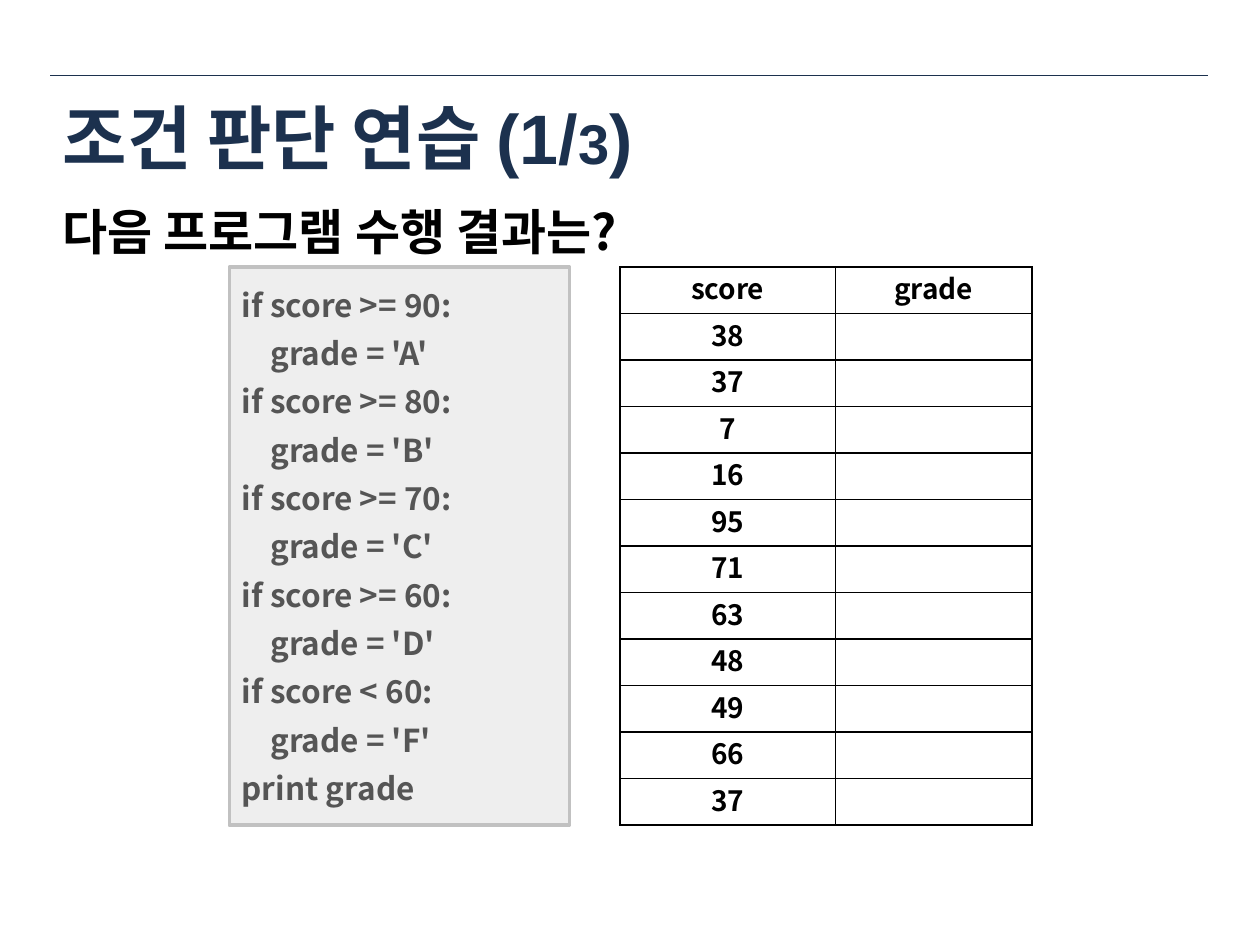
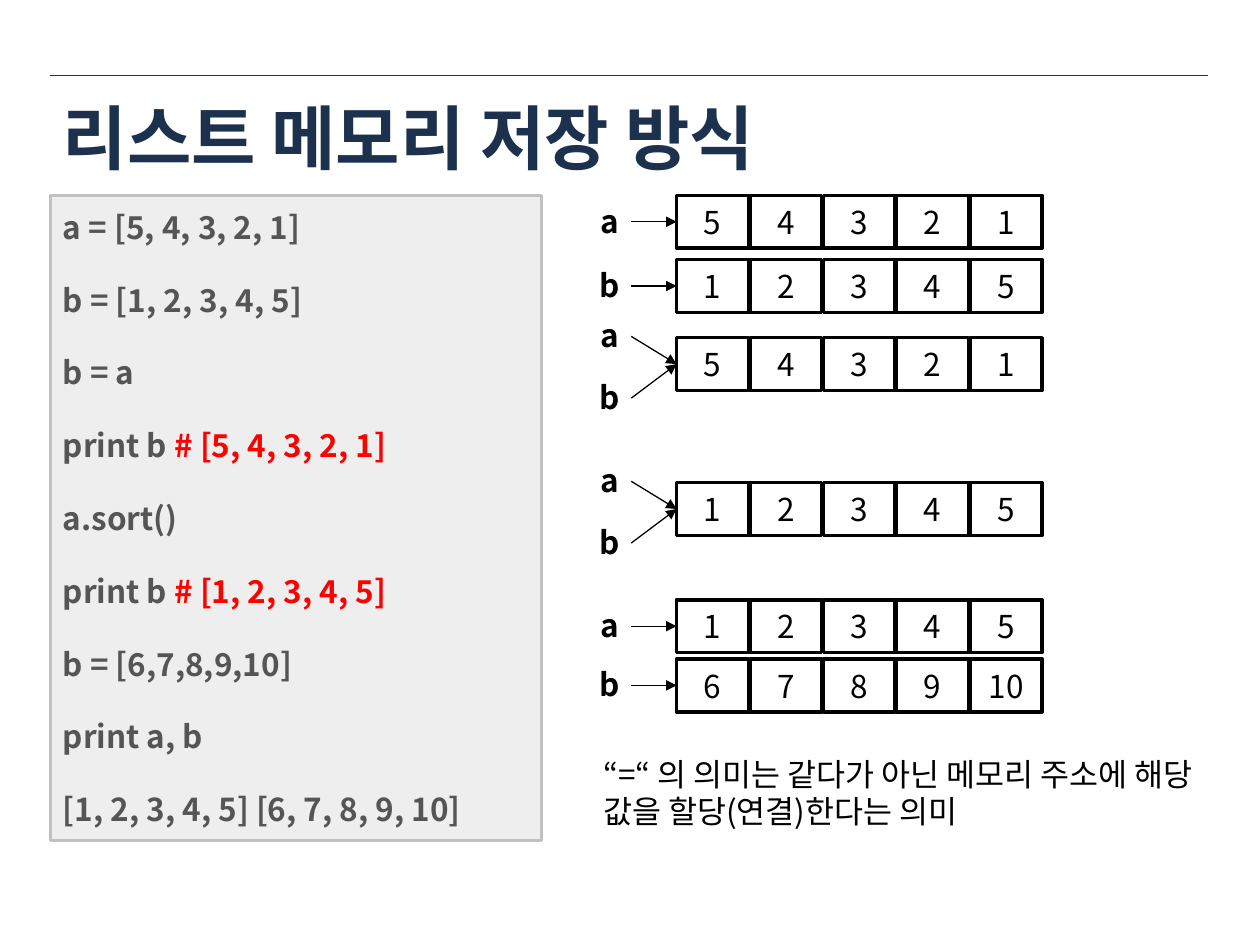
from dataclasses import dataclass
from typing import Any, NamedTuple

from lxml.etree import SubElement
from pptx import Presentation
from pptx.dml.color import RGBColor
from pptx.enum.shapes import MSO_CONNECTOR as Connector, MSO_SHAPE as Shape
from pptx.enum.text import MSO_ANCHOR as Anchor, PP_ALIGN as Align
from pptx.oxml.ns import qn
from pptx.util import Inches, Pt


@dataclass(frozen=True)
class Theme:
    navy: str = "1C314E"
    black: str = "000000"
    white: str = "FFFFFF"
    code_fill: str = "EEEEEE"
    code_line: str = "C1C1C1"
    code_text: str = "555555"
    comment: str = "FF0000"
    title_font: str = "Arial"
    body_font: str = "Noto Sans CJK KR"
    title_size: int = 40
    title_small: int = 32
    heading_size: int = 28
    body_size: int = 18
    table_size: int = 16
    line_ratio: float = 1.2


THEME = Theme()


class Box(NamedTuple):
    left: float
    top: float
    width: float
    height: float

    def lengths(self) -> list[int]:
        return [Inches(value) for value in self]


@dataclass(frozen=True)
class Style:
    size: int = THEME.body_size
    color: str = THEME.black
    bold: bool = False
    font: str = THEME.body_font


class Span(NamedTuple):
    text: str
    style: Style


Line = list[Span]


class Pointer(NamedTuple):
    name: str
    offset: float  # label top measured from the top of its list


class ListState(NamedTuple):
    top: float
    values: list[int]
    pointers: list[Pointer]


TITLE = Style(THEME.title_size, THEME.navy, True, THEME.title_font)
TITLE_SMALL = Style(THEME.title_small, THEME.navy, True, THEME.title_font)
HEADING = Style(THEME.heading_size, bold=True)
CODE = Style(color=THEME.code_text, bold=True)
COMMENT = Style(color=THEME.comment, bold=True)
LABEL = Style(bold=True)
PLAIN = Style()
TABLE = Style(THEME.table_size, bold=True)

LEFT, TOP = 0.4, 1.55  # corner of the area below the title


# Text and line helpers
def set_all(target: Any, formats: dict[str, Any]) -> None:
    for name, value in formats.items():
        setattr(target, name, value)


def rgb(color: str) -> RGBColor:
    return RGBColor.from_string(color)


def write(frame: Any, lines: list[Line], align: Any = Align.LEFT,
          anchor: Any = Anchor.MIDDLE, after: int = 0) -> None:
    set_all(frame, {"word_wrap": True, "vertical_anchor": anchor})
    for index, line in enumerate(lines):
        paragraph = frame.add_paragraph() if index else frame.paragraphs[0]
        set_all(paragraph, {"alignment": align, "space_after": Pt(after)})
        style = line[0].style
        if style.font == THEME.body_font:
            paragraph.line_spacing = Pt(style.size * THEME.line_ratio)
        for text, style in line:
            run = paragraph.add_run()
            run.text = text
            set_all(run.font, {"size": Pt(style.size), "bold": style.bold,
                               "name": style.font})
            run.font.color.rgb = rgb(style.color)
            properties = run._r.get_or_add_rPr()
            SubElement(properties, qn("a:ea"), typeface=THEME.body_font)


def add_text(slide: Any, box: Box, lines: list[Line], **layout: Any) -> None:
    write(slide.shapes.add_textbox(*box.lengths()).text_frame, lines, **layout)


def add_rectangle(slide: Any, box: Box, fill: str, line: str) -> Any:
    shape = slide.shapes.add_shape(Shape.RECTANGLE, *box.lengths())
    shape.shadow.inherit = False
    shape.fill.solid()
    shape.fill.fore_color.rgb = rgb(fill)
    shape.line.color.rgb = rgb(line)
    shape.line.width = Pt(2)
    return shape


def add_line(slide: Any, start: tuple[float, float], end: tuple[float, float],
             color: str, width: float) -> Any:
    points = [Inches(value) for value in (*start, *end)]
    connector = slide.shapes.add_connector(Connector.STRAIGHT, *points)
    connector.line.color.rgb = rgb(color)
    connector.line.width = Pt(width)
    SubElement(connector._element.spPr, qn("a:effectLst"))
    return connector


# Parts shared by the slides
def add_slide(presentation: Any, title: Line) -> Any:
    slide = presentation.slides.add_slide(presentation.slide_layouts[6])
    add_line(slide, (LEFT, 0.6), (9.59, 0.6), THEME.navy, 0.25)
    add_text(slide, Box(LEFT, 0.62, 9.18, 0.93), [title])
    return slide


def add_code(slide: Any, box: Box, source: list[str], after: int) -> None:
    lines = []
    for text in source:
        code, mark, comment = text.partition("#")
        line = [Span(code, CODE)]
        if mark:
            line.append(Span(mark + comment, COMMENT))
        lines.append(line)
    shape = add_rectangle(slide, box, THEME.code_fill, THEME.code_line)
    write(shape.text_frame, lines, after=after)


# Score table
def add_borders(cell: Any) -> None:
    properties = cell._tc.get_or_add_tcPr()
    for index, side in enumerate(("a:lnL", "a:lnR", "a:lnT", "a:lnB")):
        border = properties.makeelement(qn(side), {"w": str(Pt(1))})
        fill = SubElement(border, qn("a:solidFill"))
        SubElement(fill, qn("a:srgbClr"), val=THEME.black)
        properties.insert(index, border)


def add_score_table(slide: Any, box: Box, widths: list[float],
                    rows: list[tuple[str, str]]) -> None:
    table = slide.shapes.add_table(len(rows), len(widths), *box.lengths()).table
    for column, width in zip(table.columns, widths):
        column.width = Inches(width)
    for row, texts in zip(table.rows, rows):
        row.height = Inches(box.height / len(rows))
        for cell, text in zip(row.cells, texts):
            set_all(cell, {"margin_left": Inches(0.01), "margin_right": Inches(0.01),
                           "margin_top": Inches(0.01), "margin_bottom": 0,
                           "vertical_anchor": Anchor.MIDDLE})
            cell.fill.solid()
            cell.fill.fore_color.rgb = rgb(THEME.white)
            add_borders(cell)
            if text:
                write(cell.text_frame, [[Span(text, TABLE)]], Align.CENTER)
            else:
                cell.text_frame.paragraphs[0].font.size = Pt(TABLE.size)


# Lists in memory with the names that point to them
CELL_LEFT, CELL_WIDTH, CELL_HEIGHT = 5.37, 0.57, 0.42
CELL_PITCH = (7.7 - CELL_LEFT) / 4
LABEL_LEFT, LABEL_WIDTH, ARROW_LEFT = 4.55, 0.58, 5.01


def add_list_state(slide: Any, state: ListState) -> None:
    cells = []
    for index, value in enumerate(state.values):
        box = Box(CELL_LEFT + index * CELL_PITCH, state.top, CELL_WIDTH, CELL_HEIGHT)
        cell = add_rectangle(slide, box, THEME.white, THEME.black)
        write(cell.text_frame, [[Span(str(value), PLAIN)]], Align.CENTER)
        cells.append(cell)
    for name, offset in state.pointers:
        label_top = state.top + offset
        add_text(slide, Box(LABEL_LEFT, label_top, LABEL_WIDTH, CELL_HEIGHT),
                 [[Span(name, LABEL)]], align=Align.CENTER, anchor=Anchor.TOP)
        arrow = add_line(slide, (ARROW_LEFT, label_top + CELL_HEIGHT / 2),
                         (CELL_LEFT, state.top + CELL_HEIGHT / 2), THEME.black, 0.75)
        arrow.end_connect(cells[0], 1)
        SubElement(arrow.line._get_or_add_ln(), qn("a:tailEnd"), type="triangle")


# Slides
def build_condition_slide(presentation: Any) -> None:
    slide = add_slide(presentation, [Span("조건 판단 연습 (1/", TITLE),
                                     Span("3", TITLE_SMALL), Span(")", TITLE)])
    source = [
        "if score >= 90:",
        "    grade = 'A'",
        "if score >= 80:",
        "    grade = 'B'",
        "if score >= 70:",
        "    grade = 'C'",
        "if score >= 60:",
        "    grade = 'D'",
        "if score < 60:",
        "    grade = 'F'",
        "print grade",
    ]
    add_code(slide, Box(1.82, 2.12, 2.7, 4.43), source, after=6)
    add_text(slide, Box(LEFT, TOP, 9.6, 0.57),
             [[Span("다음 프로그램 수행 결과는?", HEADING)]], anchor=Anchor.TOP)
    scores = [38, 37, 7, 16, 95, 71, 63, 48, 49, 66, 37]
    rows = [("score", "grade")] + [(str(score), "") for score in scores]
    add_score_table(slide, Box(4.92, 2.12, 3.27, 4.43), [1.71, 1.56], rows)


def build_memory_slide(presentation: Any) -> None:
    slide = add_slide(presentation, [Span("리스트 메모리 저장 방식", TITLE)])
    source = [
        "a = [5, 4, 3, 2, 1]",
        "b = [1, 2, 3, 4, 5]",
        "b = a",
        "print b # [5, 4, 3, 2, 1]",
        "a.sort()",
        "print b # [1, 2, 3, 4, 5]",
        "b = [6,7,8,9,10]",
        "print a, b",
        "[1, 2, 3, 4, 5] [6, 7, 8, 9, 10]",
    ]
    add_code(slide, Box(LEFT, TOP, 3.9, 5.12), source, after=20)

    rising, falling = [1, 2, 3, 4, 5], [5, 4, 3, 2, 1]
    only_a, only_b = [Pointer("a", 0)], [Pointer("b", 0)]
    shared = [Pointer("a", -0.22), Pointer("b", 0.27)]
    states = [
        ListState(TOP, falling, only_a),
        ListState(2.06, rising, only_b),
        ListState(2.68, falling, shared),
        ListState(3.83, rising, shared),
        ListState(4.76, rising, only_a),
        ListState(5.23, [6, 7, 8, 9, 10], only_b),
    ]
    for state in states:
        add_list_state(slide, state)

    meaning = "“=“ 의 의미는 같다가 아닌 메모리 주소에 해당 값을 할당(연결)한다는 의미"
    add_text(slide, Box(4.69, 5.94, 4.97, 0.71), [[Span(meaning, PLAIN)]],
             anchor=Anchor.TOP)


def main() -> None:
    presentation = Presentation()
    set_all(presentation, {"slide_width": Inches(10), "slide_height": Inches(7.5)})
    build_condition_slide(presentation)
    build_memory_slide(presentation)
    presentation.save("out.pptx")


if __name__ == "__main__":
    main()
